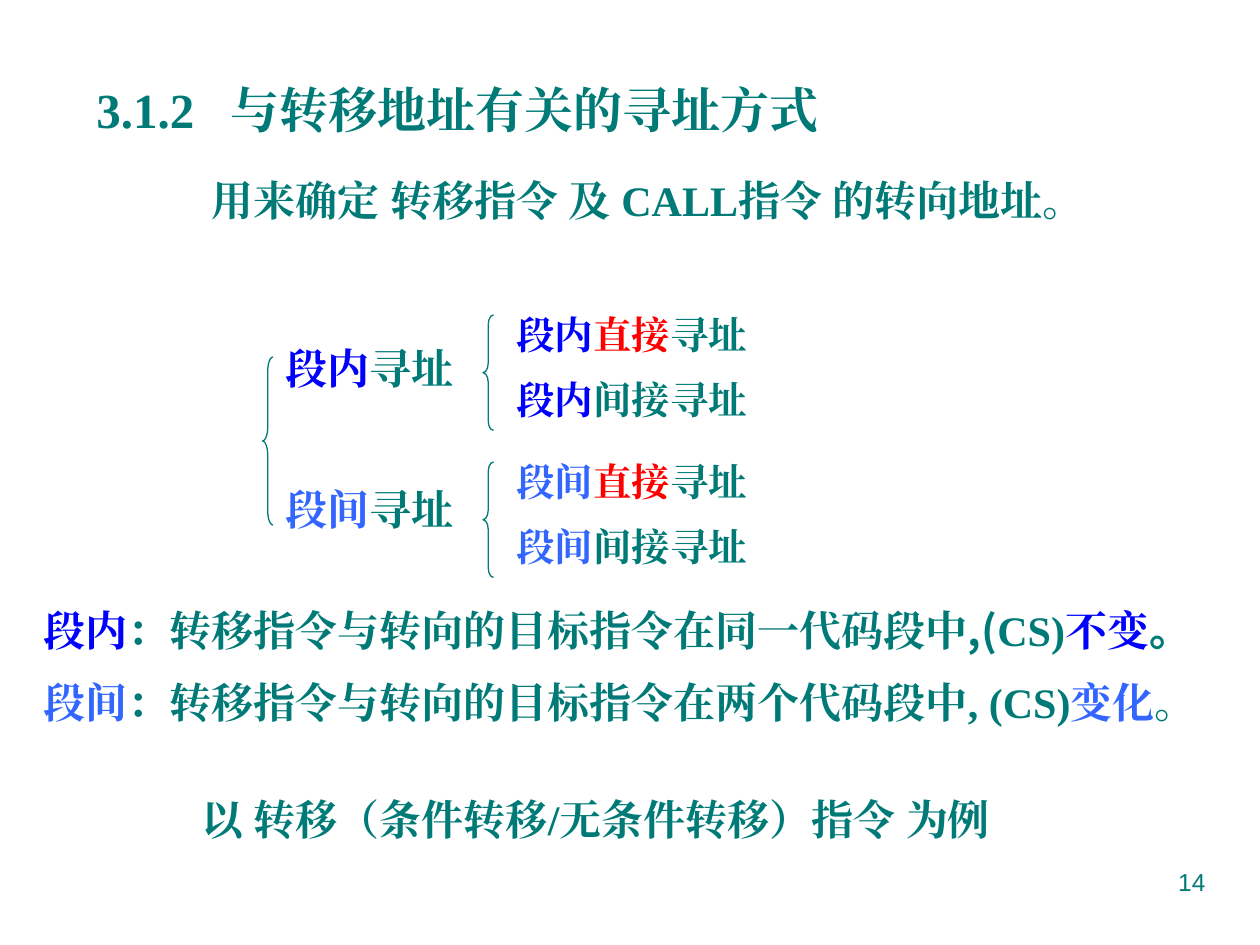
import pptx
import pptx.util
import pptx.dml.color
import pptx.enum.shapes
import pptx.enum.text
import pptx.oxml.ns
import lxml.etree

RGB = pptx.dml.color.RGBColor
TEAL = RGB(0x00, 0x7A, 0x77)
BLUE = RGB(0x00, 0x00, 0xFF)
SKY = RGB(0x33, 0x66, 0xFF)
RED = RGB(0xFF, 0x00, 0x00)

SERIF = "Times New Roman"
CJK = "Noto Sans CJK SC"
UNIT = pptx.util.Inches(1) / 12  # grid of 120 columns by 90 rows


def cells(*counts):
    return [round(count * UNIT) for count in counts]


def add_text(slide, box, paragraphs, size=24, font=SERIF, bold=True,
             align=None, gap=None, indent=0, tab=None):
    """Each paragraph is a list of runs: (words, colour) or (words, colour, font)."""
    area = slide.shapes.add_textbox(*cells(*box))
    frame = area.text_frame
    frame.word_wrap = True
    frame.auto_size = pptx.enum.text.MSO_AUTO_SIZE.SHAPE_TO_FIT_TEXT
    for index, runs in enumerate(paragraphs):
        paragraph = frame.paragraphs[0] if index == 0 else frame.add_paragraph()
        paragraph.alignment = align
        if index:
            paragraph.space_before = pptx.util.Pt(size / 2 if gap is None else gap)
        properties = paragraph._p.get_or_add_pPr()
        if indent:
            properties.set("marL", str(cells(indent)[0]))
        if tab:
            stops = lxml.etree.SubElement(properties, pptx.oxml.ns.qn("a:tabLst"))
            lxml.etree.SubElement(stops, pptx.oxml.ns.qn("a:tab"),
                                  pos=str(cells(tab)[0]), algn="l")
        for words, colour, *own_font in runs:
            run = paragraph.add_run()
            run.text = words
            run.font.size = pptx.util.Pt(size)
            run.font.bold = bold
            run.font.color.rgb = colour
            run.font.name = own_font[0] if own_font else font
            east_asian = lxml.etree.SubElement(run._r.get_or_add_rPr(),
                                               pptx.oxml.ns.qn("a:ea"))
            east_asian.set("typeface", run.font.name)


def add_brace(slide, left, top, height):
    brace = slide.shapes.add_shape(pptx.enum.shapes.MSO_SHAPE.LEFT_BRACE,
                                   *cells(left, top, 1, height))
    brace.adjustments[0] = height / 12
    brace.adjustments[1] = 0.5
    brace.shadow.inherit = False
    brace.fill.background()
    brace.line.color.rgb = TEAL
    brace.line.width = pptx.util.Pt(0.75)


def add_heading(slide, left, top):
    add_text(slide, (left, top, 100, 7),
             [[("3.1.2\t与转移地址有关的寻址方式", TEAL)]], size=28, tab=12.8)
    add_text(slide, (left + 3, top + 9, 98, 6),
             [[("用来确定 转移指令 及 CALL指令 的转向地址。", TEAL)]], indent=8)


def add_mode_tree(slide, left, top):
    """Two kinds of addressing, each split into direct and indirect."""
    kinds = [("段内", BLUE), ("段间", SKY)]
    add_brace(slide, left, top + 5, 16)
    add_text(slide, (left + 1, top + 3, 20, 20.4),
             [[kind, ("寻址", TEAL)] for kind in kinds], gap=52)
    for row, kind in enumerate(kinds):
        branch_top = top + 14 * row
        add_brace(slide, left + 21, branch_top + 1, 11)
        add_text(slide, (left + 23, branch_top, 33, 12.2),
                 [[kind, ("直接", RED), ("寻址", TEAL)],
                  [kind, ("间接寻址", TEAL)]], size=22)


def add_definitions(slide, left, top):
    add_text(slide, (left, top, 112, 13.3), [
        [("段内", BLUE), ("：转移指令与转向的目标指令在同一代码段中", TEAL),
         (",(", TEAL, CJK), ("CS)", TEAL), ("不变", BLUE), ("。", TEAL, CJK)],
        [("段间", SKY), ("：转移指令与转向的目标指令在两个代码段中, (CS)", TEAL),
         ("变化", SKY), ("。", TEAL)],
    ])


def add_closing(slide, left, top):
    add_text(slide, (left, top, 77.5, 6),
             [[("以 转移（条件转移/无条件转移）指令 为例", TEAL)]])


def add_page_number(slide, left, top):
    add_text(slide, (left, top, 30, 6.2), [[("14", TEAL)]], size=14,
             font="Arial", bold=False, align=pptx.enum.text.PP_ALIGN.RIGHT)


def main():
    deck = pptx.Presentation()
    deck.slide_width, deck.slide_height = cells(120, 90)
    slide = deck.slides.add_slide(deck.slide_layouts[6])
    add_page_number(slide, 86, 82)
    add_heading(slide, 8, 7)
    add_mode_tree(slide, 25, 29)
    add_closing(slide, 18, 75)
    add_definitions(slide, 3, 57)
    deck.save("out.pptx")


if __name__ == "__main__":
    main()
